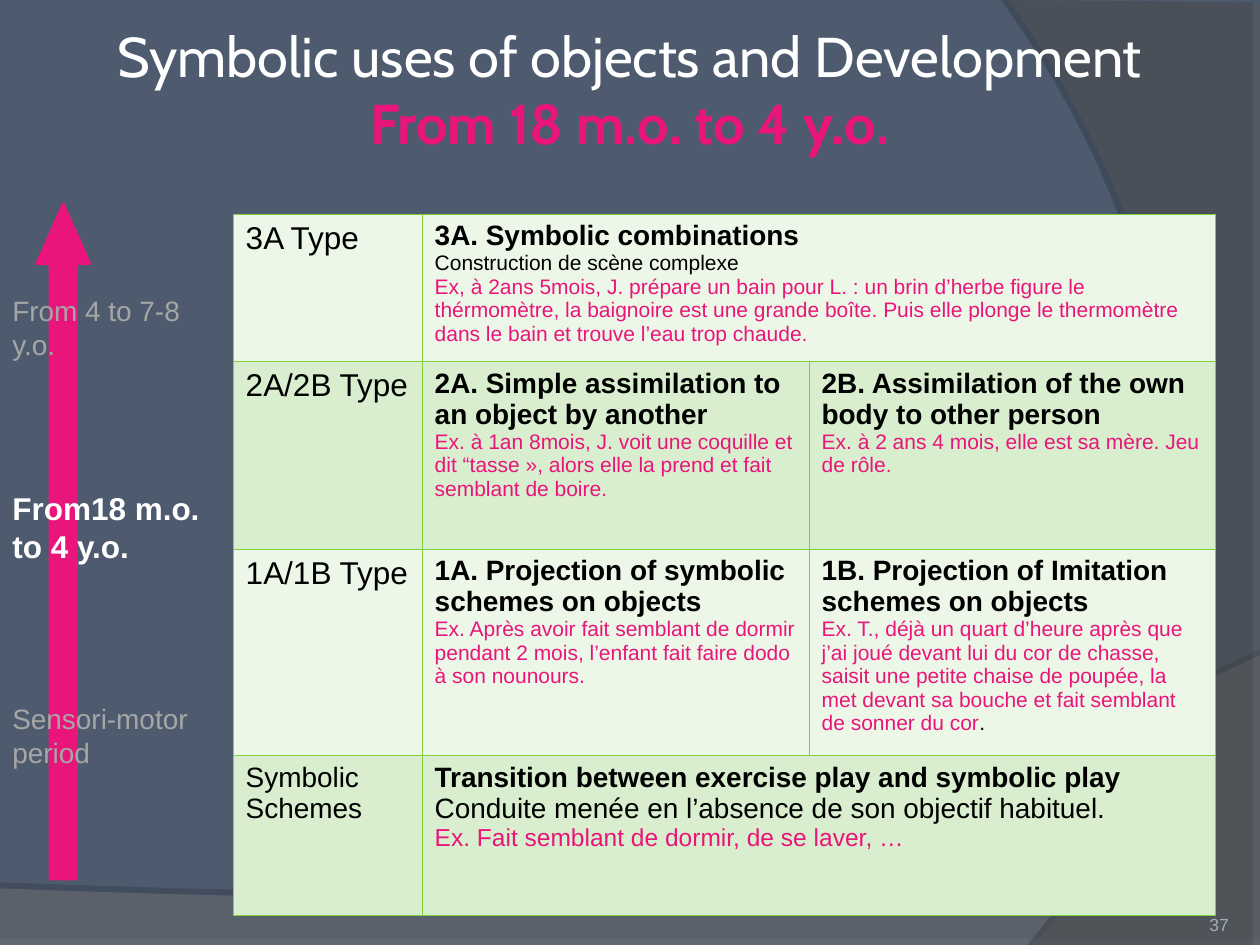
from dataclasses import dataclass

from lxml import etree
from pptx import Presentation
from pptx.dml.color import RGBColor
from pptx.enum.shapes import MSO_SHAPE
from pptx.enum.text import MSO_ANCHOR, MSO_AUTO_SIZE, PP_ALIGN
from pptx.oxml.ns import qn
from pptx.util import Cm, Pt

TOP, MIDDLE, BOTTOM = MSO_ANCHOR.TOP, MSO_ANCHOR.MIDDLE, MSO_ANCHOR.BOTTOM
LEFT, CENTER, RIGHT = PP_ALIGN.LEFT, PP_ALIGN.CENTER, PP_ALIGN.RIGHT
UP_ARROW = MSO_SHAPE.UP_ARROW
FIT_SHAPE = MSO_AUTO_SIZE.SHAPE_TO_FIT_TEXT


@dataclass(frozen=True)
class Theme:
    background: str = "4E5B6F"
    accent: str = "EA157A"
    white: str = "FFFFFF"
    black: str = "000000"
    muted: str = "A6A6A6"
    page: str = "9DADBC"
    border: str = "7FD13B"
    bands: tuple = ("ECF7E8", "D8EECE")
    body_font: str = "Arial"
    title_font: str = "Cabin"
    title: int = 32
    type_label: int = 18
    heading: int = 16
    remark: int = 14
    example: int = 12
    page_number: int = 10


THEME = Theme()

# Formats of the runs
TYPE = dict(size=THEME.type_label)
PLAIN = dict(size=THEME.heading)
HEADING = dict(size=THEME.heading, bold=True)
DETAIL = dict(size=THEME.example)
EXAMPLE = dict(size=THEME.example, color=THEME.accent)
REMARK = dict(size=THEME.remark, color=THEME.accent)
OTHER_PERIOD = dict(size=THEME.heading, color=THEME.muted)
THIS_PERIOD = dict(size=THEME.type_label, color=THEME.white, bold=True)
TITLE = dict(size=THEME.title, color=THEME.white, font=THEME.title_font)
SUBTITLE = dict(TITLE, color=THEME.accent, bold=True)
PAGE = dict(size=THEME.page_number, color=THEME.page)

# A text is a list of paragraphs, a paragraph is a list of (text, format)
TITLE_TEXT = [[("Symbolic uses of objects and Development\v", TITLE),
               ("From 18 m.o. to 4 y.o.", SUBTITLE)]]

# Each row lists its cells; the last cell spans the columns that are left
TABLE_ROWS = [
    [
        [[("3A Type", TYPE)]],
        [[("3A. Symbolic combinations", HEADING)],
         [("Construction de scène complexe", DETAIL)],
         [("Ex, à 2ans 5mois, J. prépare un bain pour L. : un brin d’herbe figure le "
           "thérmomètre, la baignoire est une grande boîte. Puis elle plonge le "
           "thermomètre dans le bain et trouve l’eau trop chaude.", EXAMPLE)]],
    ],
    [
        [[("2A/2B Type", TYPE)]],
        [[("2A. Simple assimilation to an object by another", HEADING)],
         [("Ex. à 1an 8mois, J. voit une coquille et dit “tasse », alors elle la "
           "prend et fait semblant de boire.", EXAMPLE)]],
        [[("2B. Assimilation of the own body to other person", HEADING)],
         [("Ex. à 2 ans 4 mois, elle est sa mère. Jeu de rôle.", EXAMPLE)]],
    ],
    [
        [[("1A/1B Type", TYPE)]],
        [[("1A. Projection of symbolic schemes on objects", HEADING)],
         [("Ex. Après avoir fait semblant de dormir pendant 2 mois, l’enfant fait "
           "faire dodo à son nounours.", EXAMPLE)]],
        [[("1B. Projection of Imitation schemes on objects", HEADING)],
         [("Ex. T., déjà un quart d’heure après que j’ai joué devant lui du cor de "
           "chasse, saisit une petite chaise de poupée, la met devant sa bouche et "
           "fait semblant de sonner du cor", EXAMPLE), (".", DETAIL)]],
    ],
    [
        [[("Symbolic Schemes", PLAIN)]],
        [[("Transition between exercise play and symbolic play", HEADING)],
         [("Conduite menée en l’absence de son objectif habituel.", PLAIN)],
         [("Ex. Fait semblant de dormir, de se laver, …", REMARK)]],
    ],
]

# Lengths in centimetres
SLIDE_SIZE = (25.4, 19.05)
TABLE_ORIGIN = (4.7, 4.32)
COLUMN_WIDTHS = (3.81, 7.8, 8.2)
ROW_HEIGHTS = (2.97, 3.78, 4.16, 3.23)
ARROW_BOX = (0.74, 4.11, 1.07, 13.61)
PERIODS = [
    ("Sensori-motor period", (0, 14.02, 4.7, 1.63), OTHER_PERIOD),
    ("From18 m.o. to 4 y.o.", (0, 9.73, 4.9, 1.78), THIS_PERIOD),
    ("From 4 to 7-8 y.o.", (0, 5.79, 4.9, 1.63), OTHER_PERIOD),
]
# Straight corners, then a curve from the last corner back to the first
WAVES = [
    dict(corners=[(0, 17.91), (0, 19.05), (25.4, 19.05), (25.4, 13.21)],
         controls=[(14.2, 18.52), (9.93, 18.26)], end=(0, 17.91),
         color="7C7C7C", opacity=45, shadow=(35, 3.5, 270)),
    dict(corners=[(25.4, 0.05), (25.4, 19.05), (20.85, 19.05)],
         controls=[(23.75, 15.72), (25.86, 7.62)], end=(20.32, 0),
         color="595959", opacity=40, shadow=(45, 4, 180)),
]


def rgb(color):
    return RGBColor.from_string(color)


def add_run(paragraph, text, *, size, color=THEME.black, bold=False, font=THEME.body_font):
    """Add a run; a vertical tab at the end of the text becomes a line break."""
    run = paragraph.add_run()
    run.text = text.rstrip("\v")
    run.font.size = Pt(size)
    run.font.bold = bold
    run.font.name = font
    run.font.color.rgb = rgb(color)
    if text.endswith("\v"):
        paragraph.add_line_break()


def write(frame, paragraphs, align=LEFT):
    for index, runs in enumerate(paragraphs):
        paragraph = frame.add_paragraph() if index else frame.paragraphs[0]
        paragraph.alignment = align
        for text, style in runs:
            add_run(paragraph, text, **style)


def add_text_box(shapes, box, paragraphs, align=LEFT, anchor=TOP, margins=(0.25, 0.13)):
    frame = shapes.add_textbox(*map(Cm, box)).text_frame
    frame.word_wrap = True
    frame.vertical_anchor = anchor
    frame.margin_left = frame.margin_right = Cm(margins[0])
    frame.margin_top = frame.margin_bottom = Cm(margins[1])
    write(frame, paragraphs, align)
    return frame


def add_color(parent, color, opacity):
    node = etree.SubElement(parent, qn("a:srgbClr"), val=color)
    etree.SubElement(node, qn("a:alpha"), val=str(opacity * 1000))


def curve_points(points, steps=40):
    """Sample a cubic Bézier curve, leaving out its first point."""
    for step in range(1, steps + 1):
        t = step / steps
        weights = ((1 - t) ** 3, 3 * t * (1 - t) ** 2, 3 * t * t * (1 - t), t ** 3)
        yield tuple(sum(w * p[axis] for w, p in zip(weights, points)) for axis in (0, 1))


def add_wave(shapes, corners, controls, end, color, opacity, shadow):
    """Add a translucent background shape; shadow is opacity, distance, angle."""
    outline = corners + list(curve_points([corners[-1], *controls, end]))
    points = [(Cm(x), Cm(y)) for x, y in outline]
    builder = shapes.build_freeform(*points[0])
    builder.add_line_segments(points[1:], close=True)
    shape = builder.convert_to_shape()
    shape.line.fill.background()
    shape.fill.solid()
    shape.fill.fore_color.rgb = rgb(color)
    properties = shape.fill._xPr
    fill = properties.find(qn("a:solidFill"))
    fill.clear()
    add_color(fill, color, opacity)
    shadow_opacity, distance, angle = shadow
    effects = etree.SubElement(properties, qn("a:effectLst"))
    outer = etree.SubElement(effects, qn("a:outerShdw"), dist=str(Pt(distance)),
                             dir=str(angle * 60000), algn="ctr", rotWithShape="0")
    add_color(outer, THEME.black, shadow_opacity)


def set_borders(cell):
    properties = cell._tc.get_or_add_tcPr()
    for position, side in enumerate(("a:lnL", "a:lnR", "a:lnT", "a:lnB")):
        line = etree.Element(qn(side), w=str(Pt(0.45)))
        fill = etree.SubElement(line, qn("a:solidFill"))
        etree.SubElement(fill, qn("a:srgbClr"), val=THEME.border)
        properties.insert(position, line)


def add_types_table(shapes):
    size = (sum(COLUMN_WIDTHS), sum(ROW_HEIGHTS))
    table = shapes.add_table(len(ROW_HEIGHTS), len(COLUMN_WIDTHS),
                             *map(Cm, TABLE_ORIGIN + size)).table
    table.first_row = table.horz_banding = False
    for column, width in zip(table.columns, COLUMN_WIDTHS):
        column.width = Cm(width)
    last = len(COLUMN_WIDTHS) - 1
    for index, (height, texts) in enumerate(zip(ROW_HEIGHTS, TABLE_ROWS)):
        table.rows[index].height = Cm(height)
        for cell in table.rows[index].cells:
            cell.fill.solid()
            cell.fill.fore_color.rgb = rgb(THEME.bands[index % 2])
            set_borders(cell)
        if len(texts) <= last:
            table.cell(index, len(texts) - 1).merge(table.cell(index, last))
        for column, paragraphs in enumerate(texts):
            write(table.cell(index, column).text_frame, paragraphs)


def add_timeline(shapes):
    arrow = shapes.add_shape(UP_ARROW, *map(Cm, ARROW_BOX))
    arrow.adjustments[0], arrow.adjustments[1] = 0.5, 1.13
    arrow.shadow.inherit = False
    arrow.fill.solid()
    arrow.fill.fore_color.rgb = arrow.line.color.rgb = rgb(THEME.accent)
    arrow.line.width = Pt(1.5)
    for text, box, style in PERIODS:
        add_text_box(shapes, box, [[(text, style)]]).auto_size = FIT_SHAPE


def main():
    presentation = Presentation()
    presentation.slide_width, presentation.slide_height = map(Cm, SLIDE_SIZE)
    slide = presentation.slides.add_slide(presentation.slide_layouts[6])
    slide.background.fill.solid()
    slide.background.fill.fore_color.rgb = rgb(THEME.background)
    for wave in WAVES:
        add_wave(slide.shapes, **wave)
    add_text_box(slide.shapes, (0, 0.53, 25.4, 2.51), TITLE_TEXT, CENTER, MIDDLE, (0.13, 0.13))
    add_types_table(slide.shapes)
    add_timeline(slide.shapes.add_group_shape().shapes)
    add_text_box(slide.shapes, (22.66, 17.83, 2.11, 1.02), [[("37", PAGE)]],
                 RIGHT, BOTTOM, (0, 0))
    presentation.save("out.pptx")


if __name__ == "__main__":
    main()
